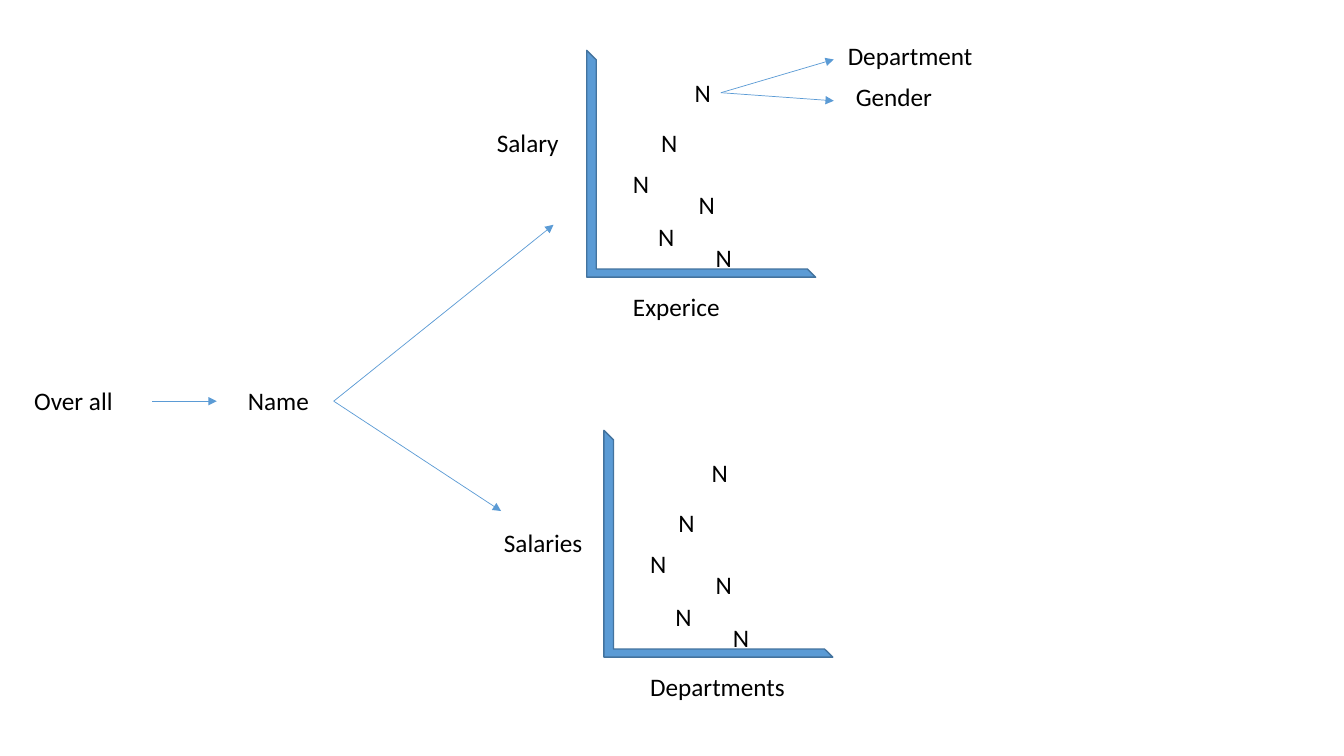
from lxml import etree
from pptx import Presentation
from pptx.dml.color import RGBColor
from pptx.enum.shapes import MSO_CONNECTOR, MSO_SHAPE
from pptx.enum.text import MSO_AUTO_SIZE
from pptx.oxml.ns import qn
from pptx.util import Emu, Pt

FRAME = MSO_SHAPE.HALF_FRAME
LINE = MSO_CONNECTOR.STRAIGHT
GROW = MSO_AUTO_SIZE.SHAPE_TO_FIT_TEXT
RIGHT = 3
BLUE, EDGE, BLACK = "5B9BD5", "43739E", "000000"
FONT = {"name": "Calibri", "size": Pt(18)}
MARKS = [(97, 22), (64, 71), (101, 133), (36, 112), (118, 185), (61, 165)]


def px(num):
    return Emu(num * 9144)


def rgb(code):
    return RGBColor.from_string(code)


class Board:
    def __init__(self, slide):
        self.slide = slide
        self.shapes = slide.shapes

    def text(self, words, left, top, wide):
        box = self.shapes.add_textbox(px(left), px(top), px(wide), px(40))
        frame = box.text_frame
        frame.word_wrap = False
        frame.auto_size = GROW
        para = frame.paragraphs[0]
        run = para.add_run()
        run.text = words
        for key, value in FONT.items():
            setattr(run.font, key, value)
        run.font.color.rgb = rgb(BLACK)
        return box

    def axes(self, left, top):
        shape = self.shapes.add_shape(FRAME, px(left), px(top), px(227), px(225))
        shape.shadow.inherit = False
        shape.adjustments[0] = 0.036
        shape.adjustments[1] = 0.042
        shape.fill.solid()
        shape.fill.fore_color.rgb = rgb(BLUE)
        shape.line.color.rgb = rgb(EDGE)
        shape.line.width = Pt(1)
        shape._element.spPr.find(qn("a:xfrm")).set("flipV", "1")

    def arrow(self, start, end, source=None):
        line = self.shapes.add_connector(LINE, *map(px, start + end))
        if source is not None:
            line.begin_connect(source, RIGHT)
        line.line.color.rgb = rgb(BLUE)
        line.line.width = Pt(0.5)
        props = line._element.spPr
        etree.SubElement(props.find(qn("a:ln")), qn("a:tailEnd"), type="triangle")
        etree.SubElement(props, qn("a:effectLst"))

    def plot(self, left, top, label, wide):
        self.axes(left, top)
        marks = [self.text("N", left + x, top + y, 36) for x, y in MARKS]
        self.text(label, left + 36, top + 234, wide)
        return marks[0]


def main():
    deck = Presentation()
    deck.slide_width, deck.slide_height = px(1333), px(750)
    board = Board(deck.slides.add_slide(deck.slide_layouts[6]))

    board.text("Over all", 24, 377, 105)
    board.text("Name", 236, 377, 81)
    first = board.plot(582, 50, "Experice", 113)
    board.text("Salary", 483, 121, 94)
    board.text("Department", 831, 35, 151)
    board.text("Gender", 839, 76, 114)
    for end in [(827, 59), (827, 100)]:
        board.arrow((716, 92), end, first)

    board.plot(599, 427, "Departments", 161)
    board.text("Salaries", 490, 518, 116)
    board.arrow((151, 398), (215, 398))
    for end in [(549, 223), (497, 507)]:
        board.arrow((331, 398), end)

    deck.save("out.pptx")


if __name__ == "__main__":
    main()
